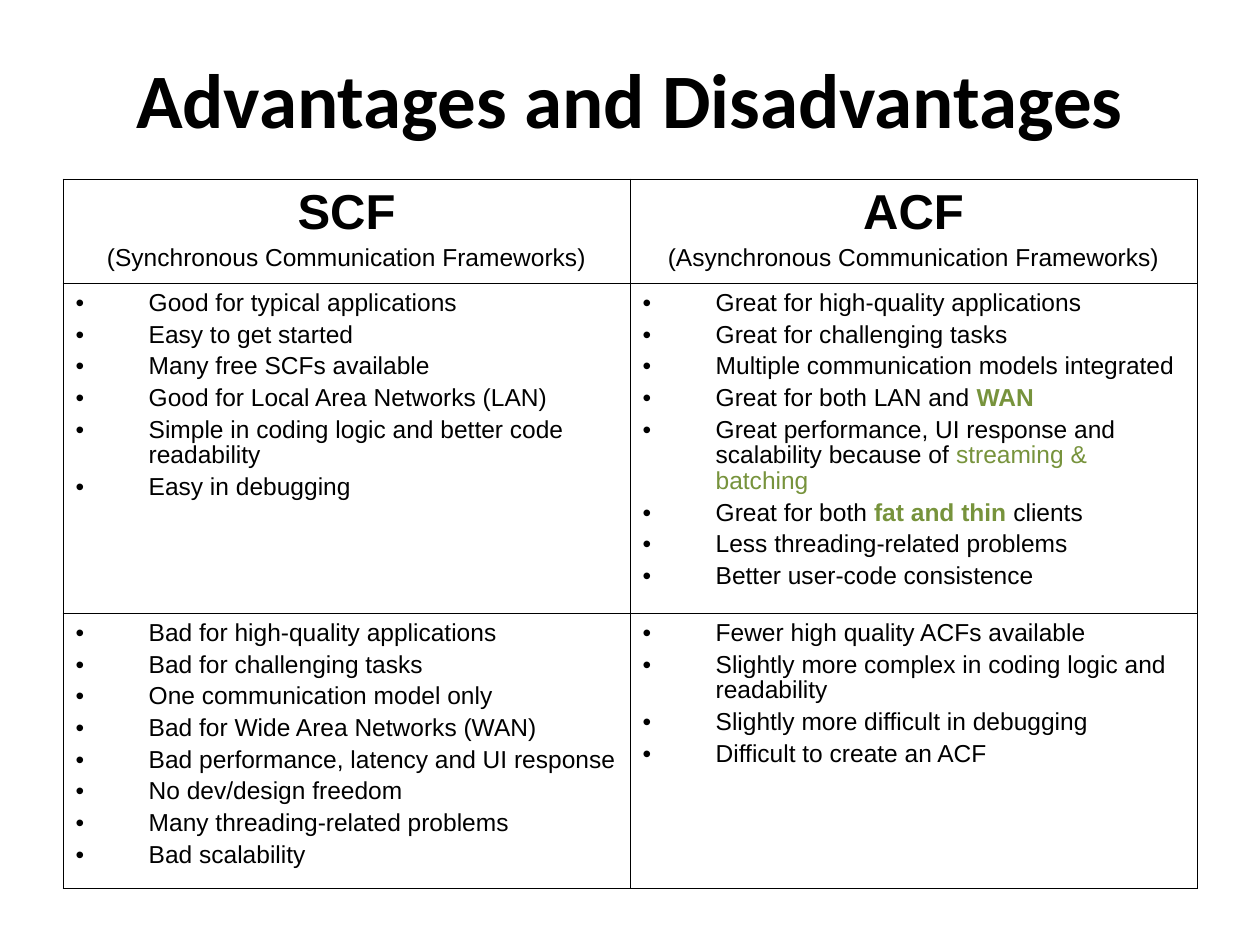
import pptx
import pptx.dml.color
import pptx.enum.text
import pptx.oxml.ns
import pptx.util
from lxml import etree

Inches, Pt = pptx.util.Inches, pptx.util.Pt
ALIGN = pptx.enum.text.PP_ALIGN
ANCHOR = pptx.enum.text.MSO_ANCHOR

COLORS = {"text": "000000", "accent": "77933C", "border": "000000", "bullet": "000000"}

# Content: a bullet is a list of (text, style) runs
TITLE = "Advantages and Disadvantages"
HEADERS = [
    ("SCF", "(Synchronous Communication Frameworks)"),
    ("ACF", "(Asynchronous Communication Frameworks)"),
]
STYLES = {  # style: (colour, bold)
    "plain": ("text", False),
    "green": ("accent", False),
    "strong": ("accent", True),
}
BULLET_ROWS = [
    [
        [
            "Good for typical applications",
            "Easy to get started",
            "Many free SCFs available",
            "Good for Local Area Networks (LAN)",
            "Simple in coding logic and better code readability",
            "Easy in debugging",
        ],
        [
            "Great for high-quality applications",
            "Great for challenging tasks",
            "Multiple communication models integrated",
            [("Great for both LAN and ", "plain"), ("WAN", "strong")],
            [("Great performance, UI response and scalability because of ", "plain"),
             ("streaming & batching", "green")],
            [("Great for both ", "plain"), ("fat and thin ", "strong"), ("clients", "plain")],
            "Less threading-related problems",
            "Better user-code consistence",
        ],
    ],
    [
        [
            "Bad for high-quality applications",
            "Bad for challenging tasks",
            "One communication model only",
            "Bad for Wide Area Networks (WAN)",
            "Bad performance, latency and UI response",
            "No dev/design freedom",
            "Many threading-related problems",
            "Bad scalability",
        ],
        [
            "Fewer high quality ACFs available",
            "Slightly more complex in coding logic and readability",
            "Slightly more difficult in debugging",
            "Difficult to create an ACF",
        ],
    ],
]
COLUMN_WIDTH = 4.5
ROW_HEIGHTS = [0.76, 2.24, 2.05]
OUTER_LINE, INNER_LINE = 0.54, 0.23
BULLET_INDENT = 0.58


def add_element(parent, tag, **attributes):
    element = etree.SubElement(parent, pptx.oxml.ns.qn(tag))
    for name, value in attributes.items():
        element.set(name, str(value))
    return element


def add_run(paragraph, text, size, bold=False, color="text", font="Arial"):
    run = paragraph.add_run()
    run.text = text
    run.font.name = font
    run.font.size = Pt(size)
    run.font.bold = bold
    run.font.color.rgb = pptx.dml.color.RGBColor.from_string(COLORS[color])


def add_paragraph(text_frame, index, space_before, alignment=ALIGN.LEFT):
    paragraph = text_frame.paragraphs[0] if index == 0 else text_frame.add_paragraph()
    paragraph.alignment = alignment
    paragraph.line_spacing = 0.93
    paragraph.space_before = Pt(space_before)
    return paragraph


def add_bullet(paragraph):
    properties = paragraph._p.get_or_add_pPr()
    properties.set("marL", str(Inches(BULLET_INDENT)))
    properties.set("indent", str(-Inches(BULLET_INDENT)))
    add_element(add_element(properties, "a:buClr"), "a:srgbClr", val=COLORS["bullet"])
    add_element(properties, "a:buFont", typeface="Arial")
    add_element(properties, "a:buChar", char="•")


def format_cell(cell, row, column, top_margin):
    cell.margin_left = cell.margin_right = Inches(0.1)
    cell.margin_top, cell.margin_bottom = Inches(top_margin), Inches(0.05)
    cell.vertical_anchor = ANCHOR.TOP
    properties = cell._tc.get_or_add_tcPr()
    on_edge = {
        "a:lnL": column == 0,
        "a:lnR": column == len(HEADERS) - 1,
        "a:lnT": row == 0,
        "a:lnB": row == len(ROW_HEIGHTS) - 1,
    }
    for tag, outer in on_edge.items():
        width = Pt(OUTER_LINE if outer else INNER_LINE)
        line = add_element(properties, tag, w=width)
        add_element(add_element(line, "a:solidFill"), "a:srgbClr", val=COLORS["border"])
    cell.fill.background()


presentation = pptx.Presentation()
presentation.slide_width, presentation.slide_height = Inches(10), Inches(7.5)
slide = presentation.slides.add_slide(presentation.slide_layouts[6])

# Title
title = slide.shapes.add_textbox(Inches(0.5), Inches(0.3), Inches(9), Inches(0.95))
title.text_frame.word_wrap = True
title.text_frame.vertical_anchor = ANCHOR.MIDDLE
title_paragraph = title.text_frame.paragraphs[0]
title_paragraph.alignment = ALIGN.CENTER
add_run(title_paragraph, TITLE, 44, bold=True, font="Calibri")

# Table grid
table = slide.shapes.add_table(
    len(ROW_HEIGHTS), len(HEADERS), Inches(0.5), Inches(1.42),
    Inches(COLUMN_WIDTH * len(HEADERS)), Inches(sum(ROW_HEIGHTS))).table
table.first_row = table.horz_banding = False
for table_column in table.columns:
    table_column.width = Inches(COLUMN_WIDTH)
for table_row, height in zip(table.rows, ROW_HEIGHTS):
    table_row.height = Inches(height)

# Header row
for column, (short_name, full_name) in enumerate(HEADERS):
    cell = table.cell(0, column)
    format_cell(cell, 0, column, top_margin=0.08)
    add_run(add_paragraph(cell.text_frame, 0, 7, ALIGN.CENTER), short_name, 28, bold=True)
    add_run(add_paragraph(cell.text_frame, 1, 3.5, ALIGN.CENTER), full_name, 14)

# Advantages and disadvantages
for row, cells in enumerate(BULLET_ROWS, start=1):
    for column, bullets in enumerate(cells):
        cell = table.cell(row, column)
        format_cell(cell, row, column, top_margin=0.06)
        for index, bullet in enumerate(bullets):
            paragraph = add_paragraph(cell.text_frame, index, 3.5)
            add_bullet(paragraph)
            runs = [(bullet, "plain")] if isinstance(bullet, str) else bullet
            for text, style in runs:
                color, bold = STYLES[style]
                add_run(paragraph, text, 14, bold, color)

presentation.save("out.pptx")
